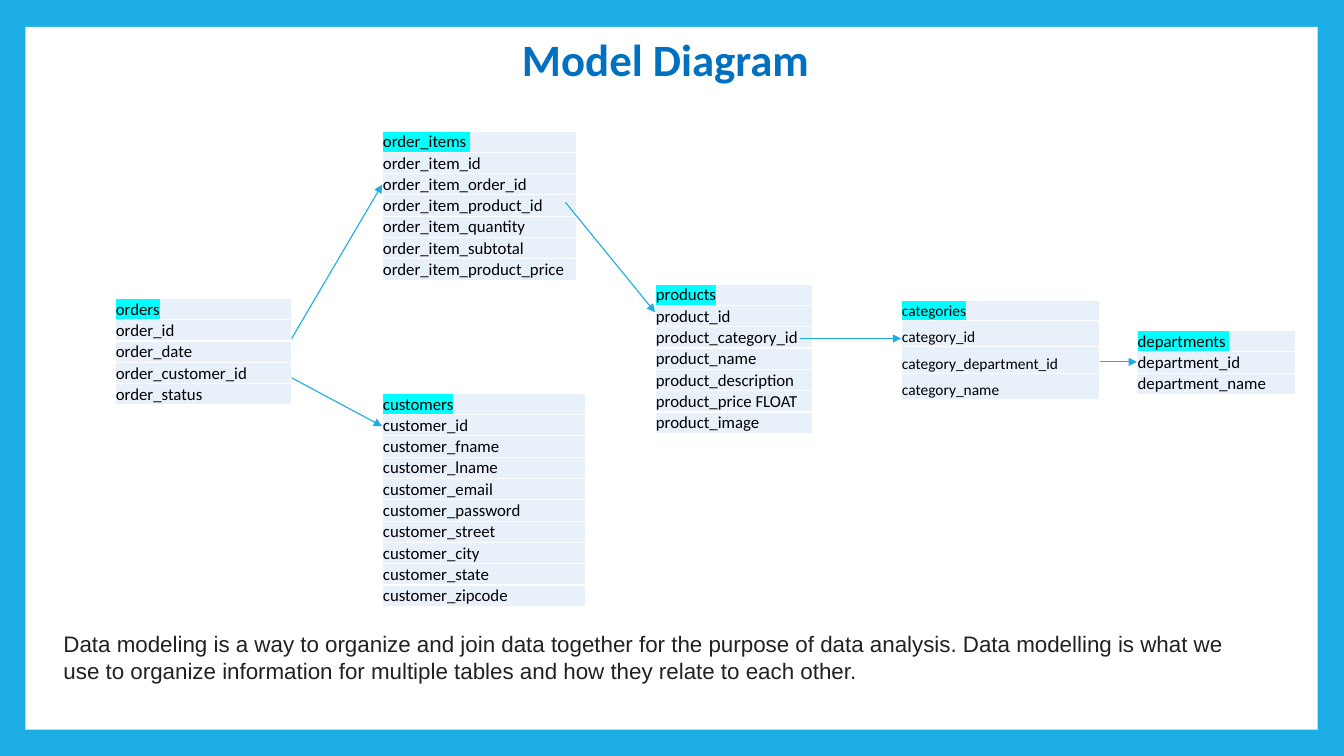
"""Build the Model Diagram slide: six entity tables joined by arrows."""
from lxml import etree
from pptx import Presentation
from pptx.dml.color import RGBColor
from pptx.enum.shapes import MSO_CONNECTOR, MSO_SHAPE
from pptx.enum.text import MSO_ANCHOR, MSO_AUTO_SIZE, PP_ALIGN
from pptx.oxml.ns import qn
from pptx.util import Cm, Pt

STRAIGHT = MSO_CONNECTOR.STRAIGHT
RECTANGLE = MSO_SHAPE.RECTANGLE
TOP, BOTTOM = MSO_ANCHOR.TOP, MSO_ANCHOR.BOTTOM
NO_AUTOFIT = MSO_AUTO_SIZE.NONE
LEFT = PP_ALIGN.LEFT

BLUE, WHITE, PALE, CYAN = "1CADE4", "FFFFFF", "E8F1FA", "00FFFF"
TITLE = "Model Diagram"
SUMMARY = (
    "Data modeling is\u00a0a way to organize and join data together for the purpose "
    "of data analysis. Data modelling is what we use to organize information for "
    "multiple tables and how they relate to each other."
)
HEADER_HEIGHT = 0.53
ENTITIES = {
    "order_items": dict(
        left=9.63, top=3.3, width=4.9, header="order_items ",
        fields=["order_item_id", "order_item_order_id", "order_item_product_id",
                "order_item_quantity", "order_item_subtotal",
                "order_item_product_price"]),
    "orders": dict(
        left=2.9, top=7.52, width=4.45, header="orders",
        fields=["order_id", "order_date", "order_customer_id", "order_status"]),
    "customers": dict(
        left=9.63, top=9.91, width=5.13, header="customers",
        fields=["customer_id", "customer_fname", "customer_lname", "customer_email",
                "customer_password", "customer_street", "customer_city",
                "customer_state", "customer_zipcode"]),
    "departments": dict(
        left=28.65, top=8.33, width=3.99, header="departments ",
        fields=["department_id", "department_name"]),
    "categories": dict(
        left=22.71, top=7.57, width=5, header="categories", size=11, row_height=0.67,
        fields=["category_id", "category_department_id", "category_name"]),
    "products": dict(
        left=16.51, top=7.16, width=3.96, header="products",
        fields=["product_id", "product_category_id", "product_name",
                "product_description", "product_price FLOAT", "product_image"]),
}
# source, start height, target, end height, start inset from the source's right edge
RELATIONS = [
    ("orders", 8.53, "order_items", 4.65, 0),
    ("orders", 9.52, "customers", 10.74, 0),
    ("order_items", 5.1, "products", 7.87, 0.28),
    ("products", 8.53, "categories", 8.53, 0.3),
    ("categories", 9.12, "departments", 9.12, 0),
]


def paint(color_format, color):
    color_format.rgb = RGBColor.from_string(color)


def fill_with(fill, color):
    fill.solid()
    paint(fill.fore_color, color)


def write(frame, text, size=12, font="Calibri", color="000000", bold=False,
          highlight=None, anchor=TOP):
    frame.word_wrap = True
    frame.vertical_anchor = anchor
    para = frame.paragraphs[0]
    para.alignment = LEFT
    span = para.add_run()
    span.text = text
    span.font.size, span.font.bold = Pt(size), bold
    paint(span.font.color, color)
    if highlight:
        mark = etree.SubElement(span.font._element, qn("a:highlight"))
        etree.SubElement(mark, qn("a:srgbClr"), val=highlight)
    span.font.name = font


def add_borders(cell):
    properties = cell._tc.get_or_add_tcPr()
    for index, side in enumerate(("a:lnL", "a:lnR", "a:lnT", "a:lnB")):
        line = etree.Element(qn(side), w=str(Pt(1)))
        fill = etree.SubElement(line, qn("a:solidFill"))
        etree.SubElement(fill, qn("a:srgbClr"), val=WHITE)
        properties.insert(index, line)


def add_entity(page, left, top, width, header, fields, size=12,
               row_height=HEADER_HEIGHT):
    names = [header, *fields]
    heights = [HEADER_HEIGHT if size == 12 else 0.5] + [row_height] * len(fields)
    table = page.shapes.add_table(
        len(names), 1, Cm(left), Cm(top), Cm(width), Cm(sum(heights))).table
    table.first_row = table.horz_banding = False
    for index, (name, height) in enumerate(zip(names, heights)):
        table.rows[index].height = Cm(height)
        cell = table.cell(index, 0)
        cell.margin_left = cell.margin_right = cell.margin_top = Cm(0.02)
        cell.margin_bottom = 0
        write(cell.text_frame, name, size=size,
              highlight=CYAN if index == 0 else None)
        cell.vertical_anchor = BOTTOM
        fill_with(cell.fill, PALE)
        add_borders(cell)


def add_relation(page, source, start_y, target, end_y, inset):
    origin = ENTITIES[source]
    start_x = origin["left"] + origin["width"] - inset
    arrow = page.shapes.add_connector(
        STRAIGHT, Cm(start_x), Cm(start_y), Cm(ENTITIES[target]["left"]), Cm(end_y))
    arrow.line.width = Pt(0.79)
    fill_with(arrow.line.fill, BLUE)
    etree.SubElement(arrow.line._get_or_add_ln(), qn("a:tailEnd"), type="triangle")
    etree.SubElement(arrow._element.spPr, qn("a:effectLst"))


def main():
    deck = Presentation()
    deck.slide_width, deck.slide_height = Cm(33.87), Cm(19.05)
    page = deck.slides.add_slide(deck.slide_layouts[5])
    fill_with(page.background.fill, BLUE)

    panel = page.shapes.add_shape(RECTANGLE, Cm(0.64), Cm(0.68), Cm(32.57), Cm(17.71))
    panel.shadow.inherit = False
    fill_with(panel.fill, WHITE)
    panel.line.fill.background()

    title = page.shapes.title
    title._element.addprevious(panel._element)
    title.left, title.top, title.width, title.height = Cm(12.9), Cm(0.67), Cm(11.15), Cm(1.62)
    title.text_frame.auto_size = NO_AUTOFIT
    write(title.text_frame, TITLE, size=32, color="0070C0", bold=True)

    for entity in ENTITIES.values():
        add_entity(page, **entity)
    for relation in RELATIONS:
        add_relation(page, *relation)

    box = page.shapes.add_textbox(Cm(1.35), Cm(15.75), Cm(30.76), Cm(1.62))
    write(box.text_frame, SUMMARY, size=16, font="Arial", color="202124")
    deck.save("out.pptx")


main()
